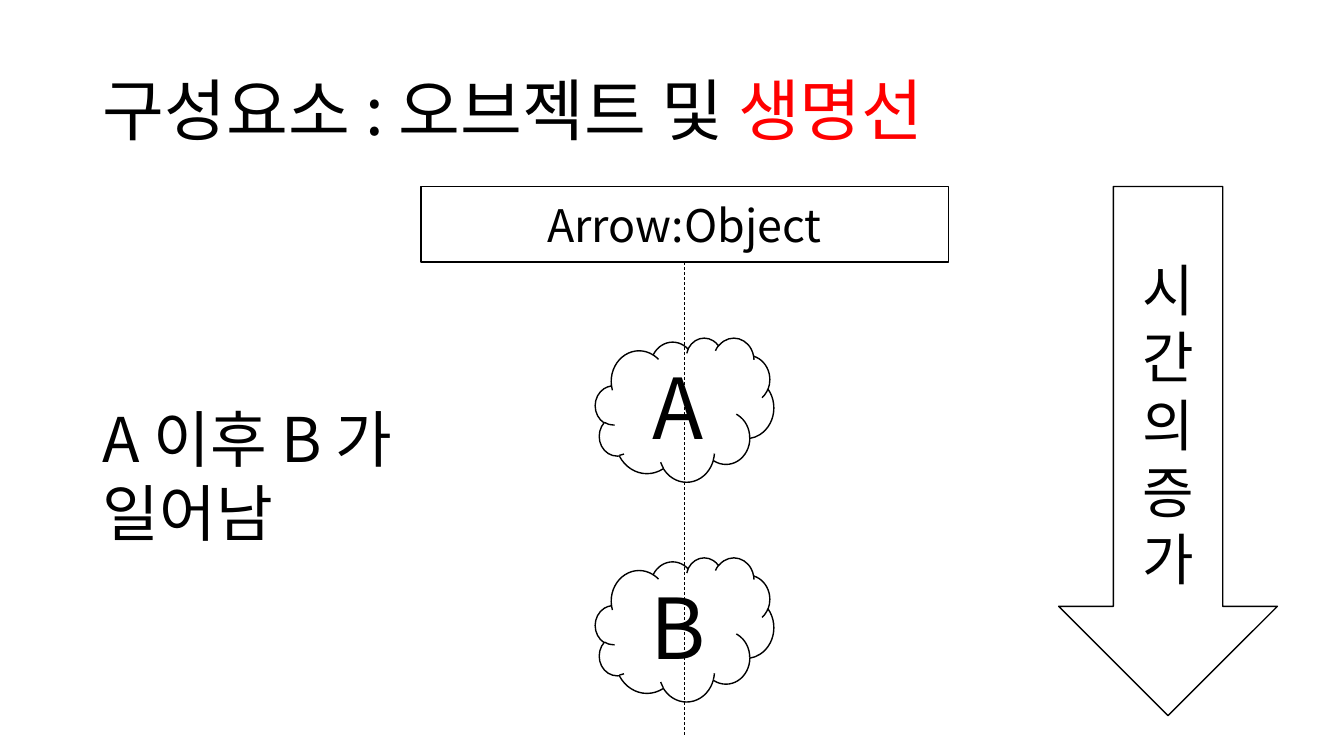
from lxml import etree
from pptx import Presentation
from pptx.dml.color import RGBColor
from pptx.enum.dml import MSO_LINE
from pptx.enum.shapes import MSO_CONNECTOR, MSO_SHAPE as Shape
from pptx.enum.text import MSO_ANCHOR as Anchor, MSO_AUTO_SIZE as AutoSize, PP_ALIGN as Align
from pptx.oxml.ns import qn
from pptx.util import Inches, Pt

COLORS = {"ink": "000000", "paper": "FFFFFF", "accent": "FF0000"}
FONT = "Noto Sans CJK KR"

deck = Presentation()
deck.slide_width, deck.slide_height = Inches(13.33), Inches(7.5)
slide = deck.slides.add_slide(deck.slide_layouts[6])

# Shared layout lines
left_margin = 0.92
diagram_top = 1.85
lifeline_x = 6.79
object_width, object_height = 5.23, 0.75
event_width, event_height = 1.77, 1.43
event_top, event_step = 3.35, 2.18


def style_text(shape, size, anchor, align):
    frame = shape.text_frame
    frame.word_wrap = True
    frame.vertical_anchor = anchor
    for paragraph in frame.paragraphs:
        paragraph.alignment = align
        for run in paragraph.runs:
            run.font.size = Pt(size)
            run.font.name = FONT
            run.font.color.rgb = RGBColor.from_string(COLORS["ink"])
            etree.SubElement(run.font._element, qn("a:ea"), typeface=FONT)


def add_outlined(kind, left, top, width, height, text, size, filled=True):
    shape = slide.shapes.add_shape(
        kind, Inches(left), Inches(top), Inches(width), Inches(height))
    shape.shadow.inherit = False
    if filled:
        shape.fill.solid()
        shape.fill.fore_color.rgb = RGBColor.from_string(COLORS["paper"])
    else:
        shape.fill.background()
    shape.line.color.rgb = RGBColor.from_string(COLORS["ink"])
    shape.line.width = Pt(1)
    shape.text_frame.text = text
    style_text(shape, size, Anchor.MIDDLE, Align.CENTER)


# Title with the highlighted term
title = slide.shapes.add_textbox(
    Inches(left_margin), Inches(0.4), Inches(11.5), Inches(1.45))
heading = title.text_frame.paragraphs[0]
heading.line_spacing = 0.9
for part in ("구성요소 : 오브젝트 및 ", "생명선"):
    heading.add_run().text = part
style_text(title, 48, Anchor.MIDDLE, Align.LEFT)
heading.runs[1].font.color.rgb = RGBColor.from_string(COLORS["accent"])

# Object header
add_outlined(Shape.RECTANGLE, lifeline_x - object_width / 2, diagram_top,
             object_width, object_height, "Arrow:Object", 32)

# Dashed lifeline
lifeline = slide.shapes.add_connector(
    MSO_CONNECTOR.STRAIGHT, Inches(lifeline_x), Inches(diagram_top + object_height),
    Inches(lifeline_x), Inches(7.29))
lifeline.line.color.rgb = RGBColor.from_string(COLORS["ink"])
lifeline.line.width = Pt(0.5)
lifeline.line.dash_style = MSO_LINE.DASH
etree.SubElement(lifeline._element.spPr, qn("a:effectLst"))

# Time arrow
add_outlined(Shape.DOWN_ARROW, 10.5, diagram_top, 2.17, 5.25, "시간의 증가", 40)

# Events along the lifeline
for order, event in enumerate("AB"):
    add_outlined(Shape.CLOUD, lifeline_x - event_width / 2, event_top + order * event_step,
                 event_width, event_height, event, 60, filled=False)

# Explanation of the order
explanation = slide.shapes.add_textbox(
    Inches(left_margin), Inches(3.93), Inches(3.9), Inches(1.58))
explanation.text_frame.text = "A 이후 B 가 일어남"
style_text(explanation, 44, Anchor.TOP, Align.LEFT)
explanation.text_frame.auto_size = AutoSize.SHAPE_TO_FIT_TEXT

deck.save("out.pptx")
